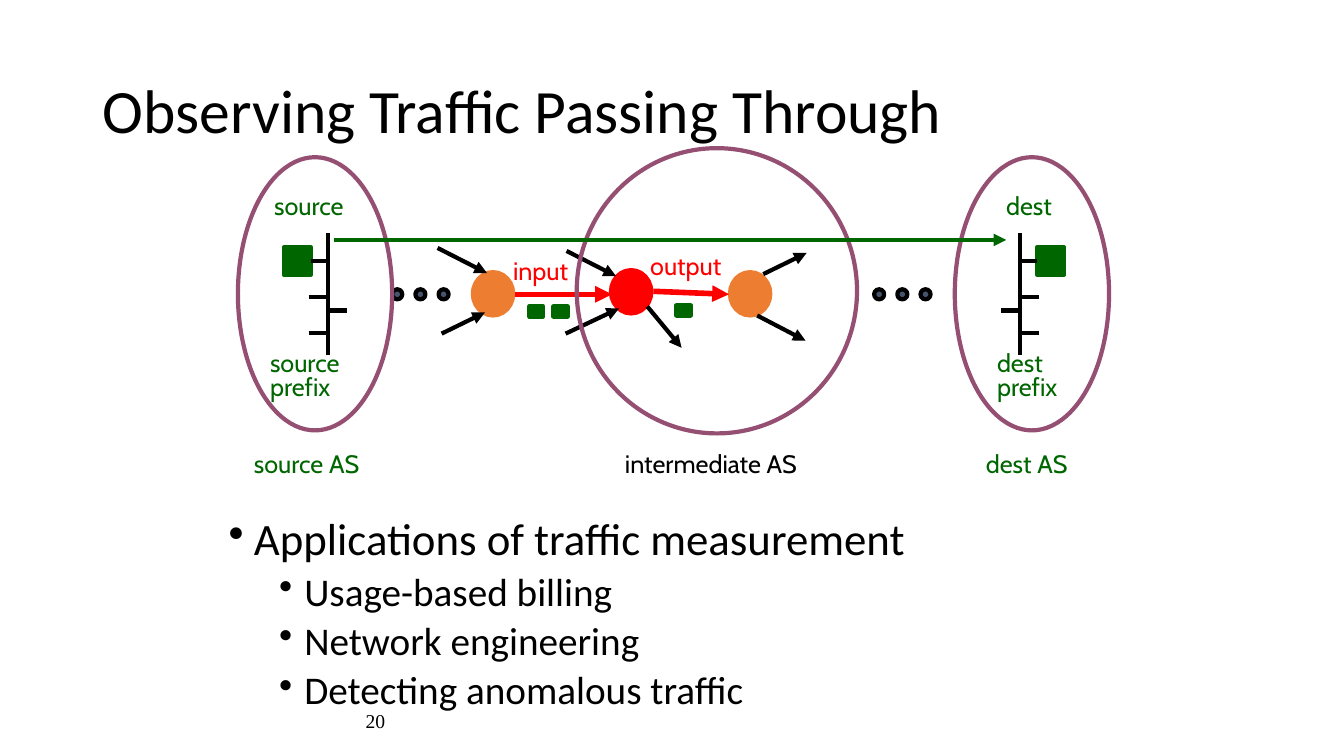
from dataclasses import dataclass

from lxml import etree
from pptx import Presentation, util as u
from pptx.dml.color import RGBColor
from pptx.enum import shapes, text
from pptx.oxml import ns


@dataclass(frozen=True)
class Theme:
    black: str = "000000"
    red: str = "FF0000"
    orange: str = "ED7D31"
    green: str = "006600"
    purple: str = "954F72"
    slate: str = "44546A"
    body_font: str = "Calibri"
    label_font: str = "Cabin"
    number_font: str = "Times New Roman"
    title_size: int = 44
    body_size: int = 32
    sub_size: int = 28
    label_size: int = 18
    number_size: int = 14
    line: int = 3
    heavy_line: int = 4


THEME = Theme()

# Content; lengths are in grid cells of a tenth of an inch
TITLE = "Observing Traffic Passing Through"
BULLETS = [
    ("Applications of traffic measurement", 0),
    ("Usage-based billing", 1),
    ("Network engineering", 1),
    ("Detecting anomalous traffic", 1),
]
PAGE_NUMBER = "20"

# Labels: lines, left, top, width, colour
LABELS = [
    (["input"], 49.9, 24.8, 7.6, THEME.red),
    (["output"], 63.5, 24.3, 9.2, THEME.red),
    (["source AS"], 24.2, 44, 12.9, THEME.green),
    (["source", "prefix"], 25.8, 34.5, 10, THEME.green),
    (["source"], 26.2, 18.4, 9.2, THEME.green),
    (["dest AS"], 96.8, 44, 10.3, THEME.green),
    (["dest", "prefix"], 97.9, 34.5, 8.2, THEME.green),
    (["dest"], 98.8, 18.4, 6.6, THEME.green),
    (["intermediate AS"], 61, 44, 19.5, THEME.black),
]

# Routers: left, top, colour
ROUTERS = [
    (46.9, 27, THEME.orange),
    (60.6, 26.8, THEME.red),
    (72.4, 27, THEME.orange),
]
# Arrows: from x, from y, to x, to y
SIDE_LINKS = [
    (43.4, 24.6, 48.3, 27.1), (43.8, 33.1, 48.1, 31),
    (56.2, 24.9, 61.1, 27.4), (56.1, 33.1, 61.4, 30.6),
    (64.2, 30.4, 67.6, 34.5),
    (75.7, 27.2, 80, 25.1), (75.1, 31.3, 79.9, 33.8),
]
MEASURED_LINKS = [(51.1, 29.2, 60.7, 29.2), (64.8, 28.9, 72.3, 29.2)]
TRAFFIC_FLOW = (33.1, 23.8, 99.8, 23.8)
PACKETS = [(52.5, 30.4), (54.9, 30.4), (67.1, 30.3)]
DOT_STARTS, DOT_PITCH = (38.9, 86.7), 2.3

# Edge networks: circle left, spine x, direction in which the host stub points
NETWORKS = [(23.6, 32.5, -1), (94.7, 101.2, 1)]
HOST_WIDTH, HOST_HEIGHT, HOST_TOP = 2.6, 2.8, 24.5
STUB = 1.7
OTHER_STUBS = [(29.5, 1), (33, 1), (30.8, -1)]  # y, side relative to the host

presentation = Presentation()
presentation.slide_width, presentation.slide_height = u.Inches(13.33), u.Inches(7.5)
slide = presentation.slides.add_slide(presentation.slide_layouts[6])
ROWS = 75
CELL = presentation.slide_height / ROWS


def cells(*values):
    return [round(value * CELL) for value in values]


def rgb(colour):
    return RGBColor.from_string(colour)


def add_text(lines, box, font=THEME.label_font, size=THEME.label_size,
             colour=THEME.black, wrap=False, spacing=None, align=None,
             anchor=text.MSO_ANCHOR.TOP):
    """Each line is plain text or a (text, bullet level) pair."""
    frame = slide.shapes.add_textbox(*cells(*box)).text_frame
    frame.word_wrap, frame.vertical_anchor = wrap, anchor
    for index, line in enumerate(lines):
        words, level = (line, None) if isinstance(line, str) else line
        paragraph = frame.paragraphs[0] if index == 0 else frame.add_paragraph()
        if level is not None:
            properties = paragraph._p.get_or_add_pPr()
            properties.set("marL", str(u.Inches(0.25 + 0.5 * level)))
            properties.set("indent", str(-u.Inches(0.25)))
            etree.SubElement(properties, ns.qn("a:buChar")).set("char", "•")
            paragraph.level = level
            if index:
                paragraph.space_before = u.Pt(5)
        if spacing:
            paragraph.line_spacing = spacing
        paragraph.alignment = align
        run = paragraph.add_run()
        run.text = words
        run.font.name = font
        run.font.size = u.Pt(THEME.sub_size if level else size)
        run.font.color.rgb = rgb(colour)


def add_figure(kind, box, fill=None, line=None):
    shape = slide.shapes.add_shape(kind, *cells(*box))
    shape.shadow.inherit = False
    if fill:
        shape.fill.solid()
        shape.fill.fore_color.rgb = rgb(fill)
    else:
        shape.fill.background()
    shape.line.color.rgb = rgb(line or fill)
    shape.line.width = u.Pt(THEME.line)
    return shape


def add_line(ends, colour=THEME.black, width=THEME.line, arrow=False):
    connector = slide.shapes.add_connector(shapes.MSO_CONNECTOR.STRAIGHT, *cells(*ends))
    connector.line.color.rgb = rgb(colour)
    connector.line.width = u.Pt(width)
    if arrow:
        tail = etree.SubElement(connector.line._get_or_add_ln(), ns.qn("a:tailEnd"))
        tail.set("type", "triangle")
    etree.SubElement(connector._element.spPr, ns.qn("a:effectLst"))
    return connector


OVAL, RECTANGLE = shapes.MSO_SHAPE.OVAL, shapes.MSO_SHAPE.RECTANGLE

# Title, bullets and page number
add_text([TITLE], (9.2, 4, 115, 14.5), font=THEME.body_font, size=THEME.title_size,
         wrap=True, spacing=0.9, anchor=text.MSO_ANCHOR.MIDDLE)
add_text(BULLETS, (21.7, 50.8, 92.5, 24.2), font=THEME.body_font,
         size=THEME.body_size, wrap=True, spacing=0.9)
add_text([PAGE_NUMBER], (9.2, 69.5, 30, 4), font=THEME.number_font,
         size=THEME.number_size, wrap=True, align=text.PP_ALIGN.RIGHT,
         anchor=text.MSO_ANCHOR.MIDDLE)

# Routers and their links inside and beside the intermediate network
for left, top, colour in ROUTERS:
    add_figure(OVAL, (left, top, 4, 4.3), fill=colour)
for link in SIDE_LINKS:
    add_line(link, arrow=True)
for link in MEASURED_LINKS:
    add_line(link, THEME.red, THEME.heavy_line, arrow=True)
add_figure(OVAL, (57.2, 14.7, 27.8, 28.3), line=THEME.purple)

# Dots standing for the networks in between
for start in DOT_STARTS:
    for step in range(3):
        add_figure(OVAL, (start + step * DOT_PITCH, 28.7, 1, 1),
                   fill=THEME.slate, line=THEME.black)

# Source and destination networks, mirrored by the side of the host
for circle_left, spine, side in NETWORKS:
    add_figure(OVAL, (circle_left, 15.6, 15.3, 27.1), line=THEME.purple)
    near_edge = spine + side * STUB
    host_left = near_edge if side > 0 else near_edge - HOST_WIDTH
    host = add_figure(RECTANGLE, (host_left, HOST_TOP, HOST_WIDTH, HOST_HEIGHT),
                      fill=THEME.green)
    add_line((spine, 35.2, spine, 23.1))
    host_y = HOST_TOP + HOST_HEIGHT / 2
    host_stub = add_line((near_edge, host_y, spine, host_y))
    host_stub.begin_connect(host, 1 if side > 0 else 3)
    for y, direction in OTHER_STUBS:
        add_line((spine + side * direction * (STUB + 0.2), y, spine, y))

# Labels, end-to-end flow and packets
for lines, left, top, width, colour in LABELS:
    several = len(lines) > 1
    add_text(lines, (left, top, width, 5.8 if several else 4), colour=colour,
             spacing=0.8 if several else None)
add_line(TRAFFIC_FLOW, THEME.green, arrow=True)
for left, top in PACKETS:
    add_figure(RECTANGLE, (left, top, 1.4, 1), fill=THEME.green)

presentation.save("out.pptx")
